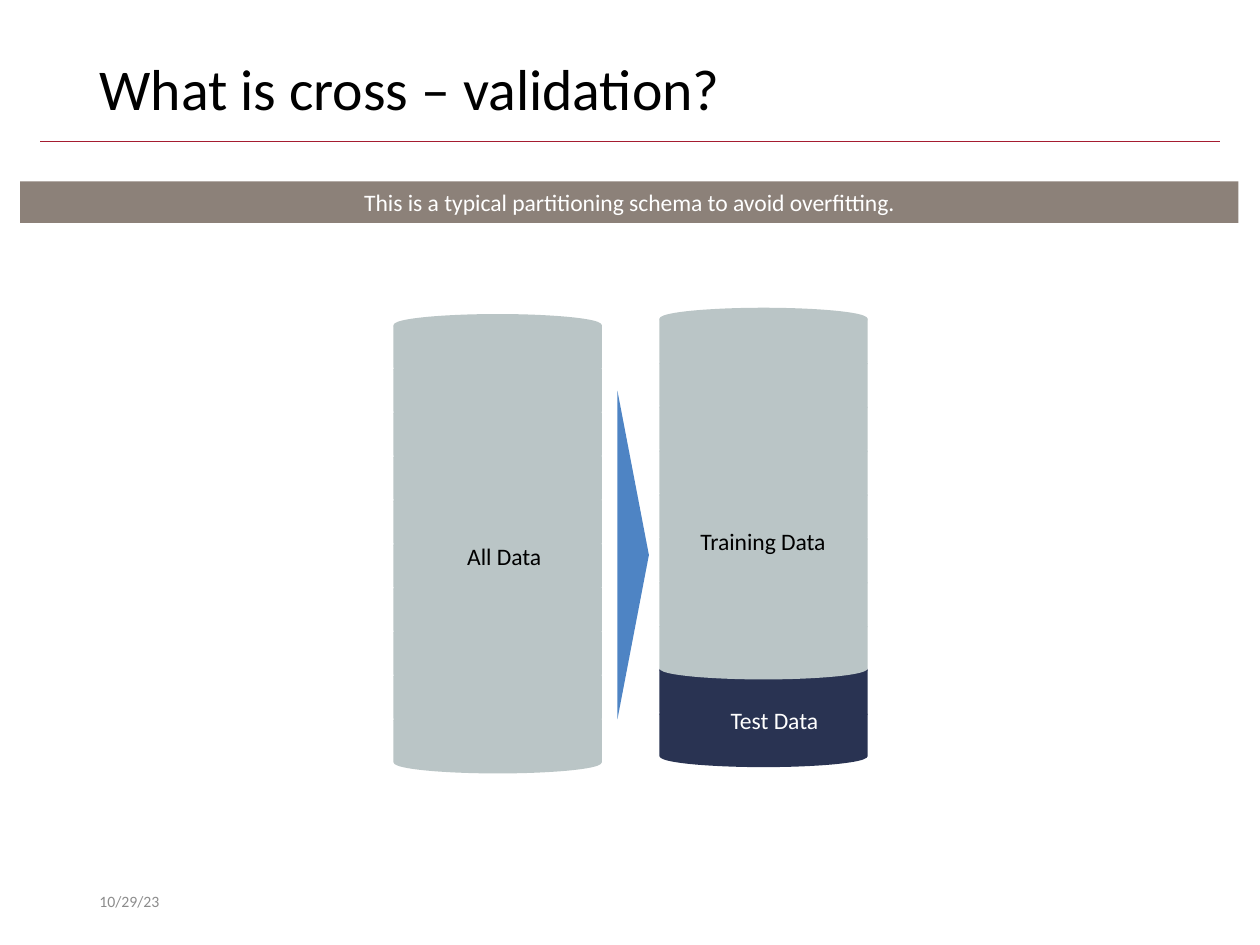
import pptx
import pptx.util
import pptx.dml.color
import pptx.enum.shapes
import pptx.enum.text
import pptx.oxml.ns
from dataclasses import dataclass
from lxml import etree

Kind = pptx.enum.shapes.MSO_SHAPE
Align = pptx.enum.text.PP_ALIGN
Anchor = pptx.enum.text.MSO_ANCHOR
Fit = pptx.enum.text.MSO_AUTO_SIZE


@dataclass(frozen=True)
class Theme:
    font: str = "Calibri"
    ink: str = "000000"
    white: str = "FFFFFF"
    mute: str = "8C8C8C"
    rule: str = "A51C30"
    band: str = "8C8179"
    pale: str = "BAC5C6"
    navy: str = "293352"
    blue: str = "4E84C4"
    head: float = 33
    body: float = 13.5
    small: float = 9


class Page:
    """Places elements on a grid of 100 columns by 75 rows."""

    def __init__(self, deck, theme):
        self.theme = theme
        self.slide = deck.slides.add_slide(deck.slide_layouts[6])
        self.unit = deck.slide_width / 100

    def grid(self, *cells):
        return [pptx.util.Emu(round(cell * self.unit)) for cell in cells]

    def tint(self, code):
        return pptx.dml.color.RGBColor.from_string(code)

    def fill_text(self, shape, words, size, color, align=Align.LEFT, wrap=True):
        frame = shape.text_frame
        frame.text = words
        frame.word_wrap = wrap
        frame.vertical_anchor = Anchor.MIDDLE
        para = frame.paragraphs[0]
        para.alignment = align
        font = para.runs[0].font
        font.name = self.theme.font
        font.size = pptx.util.Pt(size)
        font.color.rgb = self.tint(color)
        return frame

    def text(self, box, words, size, color, wrap=True):
        shape = self.slide.shapes.add_textbox(*self.grid(*box))
        return self.fill_text(shape, words, size, color, wrap=wrap)

    def label(self, box, words, color):
        frame = self.text(box, words, self.theme.body, color, wrap=False)
        frame.auto_size = Fit.SHAPE_TO_FIT_TEXT

    def shape(self, kind, box, fill, edge=False):
        shape = self.slide.shapes.add_shape(kind, *self.grid(*box))
        shape.shadow.inherit = False
        shape.fill.solid()
        shape.fill.fore_color.rgb = self.tint(fill)
        if edge:
            shape.line.color.rgb = self.tint(fill)
            shape.line.width = pptx.util.Pt(1)
        else:
            shape.line.fill.background()
        return shape

    def line(self, start, end, color, width):
        line = self.slide.shapes.add_connector(
            pptx.enum.shapes.MSO_CONNECTOR.STRAIGHT, *self.grid(*start, *end))
        line.line.color.rgb = self.tint(color)
        line.line.width = pptx.util.Pt(width)
        props = line.element.spPr
        etree.SubElement(props, pptx.oxml.ns.qn("a:effectLst"))

    def stack(self, left, top, fills):
        """Piles disks from the bottom up; fills run from bottom to top."""
        step = 3.48
        for row, fill in enumerate(fills):
            low = top + step * (len(fills) - 1 - row)
            self.shape(Kind.FLOWCHART_MAGNETIC_DISK,
                       (left, low, 16.4, 5), fill, edge=True)


def main():
    deck = pptx.Presentation()
    deck.slide_width = pptx.util.Inches(10)
    deck.slide_height = pptx.util.Inches(7.5)
    look = Theme()
    page = Page(deck, look)

    # Heading, rule and date
    page.line((3.2, 11.2), (96.8, 11.2), look.rule, 0.5)
    title = page.text((6.9, 4, 86.2, 6.5), "What is cross – validation?",
                      look.head, look.ink)
    title.paragraphs[0].line_spacing = 0.9
    page.text((6.9, 69.5, 22.5, 4), "10/29/23", look.small, look.mute)

    # All data
    page.stack(31.3, 25, [look.pale] * 10)
    page.label((36.1, 42.5, 8, 3.3), "All Data", look.ink)

    # Arrow between the stacks
    arrow = page.shape(Kind.ISOSCELES_TRIANGLE, (37.2, 42.8, 26.1, 2.5),
                       look.blue)
    arrow.rotation = 90

    # Training and test split
    page.stack(52.4, 24.5, [look.navy] * 2 + [look.pale] * 8)
    page.label((54.6, 41.3, 12.1, 3.3), "Training Data", look.ink)
    page.label((57, 55.5, 9.1, 3.3), "Test Data", look.white)

    # Message band
    band = page.shape(Kind.RECTANGLE, (1.6, 14.4, 96.7, 3.3), look.band)
    frame = page.fill_text(
        band, "This is a typical partitioning schema to avoid overfitting.",
        look.body, look.white, Align.CENTER)
    frame.auto_size = Fit.SHAPE_TO_FIT_TEXT

    deck.save("out.pptx")


if __name__ == "__main__":
    main()
